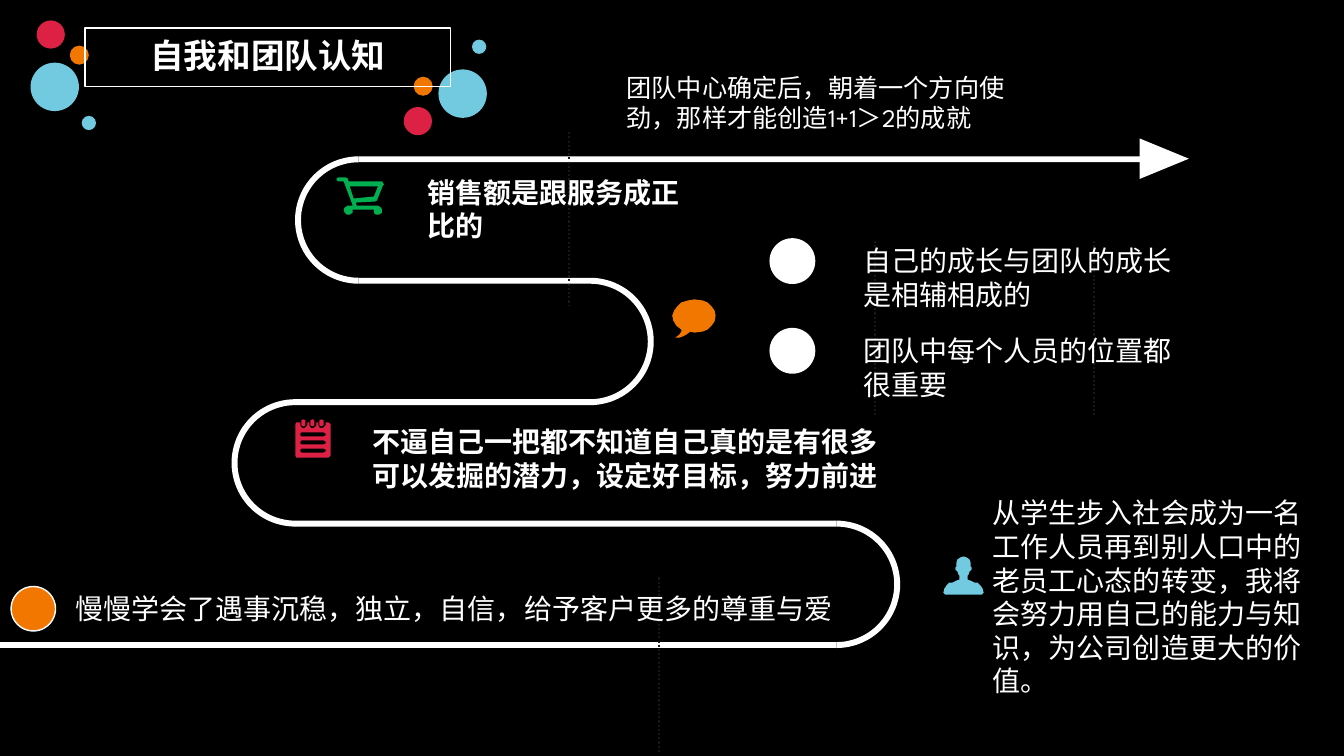
from math import cos, sin, pi, radians

from lxml.etree import SubElement as Sub
from pptx import Presentation
from pptx.dml.color import RGBColor as Rgb
from pptx.enum.dml import MSO_LINE as Dash
from pptx.enum.shapes import MSO_CONNECTOR as Link, MSO_SHAPE as Form
from pptx.enum.text import MSO_ANCHOR as Anchor, MSO_AUTO_SIZE as Fit, PP_ALIGN as Align
from pptx.oxml.ns import qn
from pptx.util import Cm, Pt

WHITE, RED, ORANGE = "FFFFFF", "DC2144", "F17700"
BLUE, GREEN, DARK = "71CAE0", "00B050", "181715"


def tint(code):
    return Rgb.from_string(code)


class Board:
    """Holds the style and the current slide."""
    font, head = "League Spartan", "Noto Sans CJK SC"
    grain = Cm(2.54) / 100  # one icon unit
    fine = 1000  # outline units per centimetre

    def __init__(self, deck):
        self.slide = deck.slides.add_slide(deck.slide_layouts[5])
        self.shapes = self.slide.shapes
        back = self.slide.background.fill
        back.solid()
        back.fore_color.rgb = tint("000000")

    def paint(self, shape, fill, line=None):
        shape.shadow.inherit = False
        shape.fill.solid()
        shape.fill.fore_color.rgb = tint(fill)
        if line:
            shape.line.color.rgb = tint(line)
            shape.line.width = Pt(1)
        else:
            shape.line.fill.background()
        return shape

    def solid(self, form, x, y, w, h, fill, line=None):
        shape = self.shapes.add_shape(form, Cm(x), Cm(y), Cm(w), Cm(h))
        return self.paint(shape, fill, line)

    def disc(self, x, y, size, fill, line=None):
        """Circle around a centre."""
        self.solid(Form.OVAL, x - size / 2, y - size / 2, size, size, fill, line)

    def shade(self, loops, fill, scale):
        """Closed outlines in one shape; inner ones become holes."""
        pen = self.shapes.build_freeform(*loops[0][0], scale=scale)
        pen.add_line_segments(loops[0][1:])
        for loop in loops[1:]:
            pen.move_to(*loop[0])
            pen.add_line_segments(loop[1:])
        self.paint(pen.convert_to_shape(), fill)

    def icon(self, loops, fill):
        self.shade(loops, fill, self.grain)

    def turn(self, x, y, outer, inner, side):
        """Half ring that bulges to one side (1 right, -1 left)."""
        steps = [pi * i / 48 - pi / 2 for i in range(49)]
        ring = [(outer, a) for a in steps] + [(inner, a) for a in steps[::-1]]
        # Outline points are whole numbers, so they need a fine unit
        arc = [(round((x + side * r * cos(a)) * self.fine),
                round((y + r * sin(a)) * self.fine)) for r, a in ring]
        self.shade([arc], WHITE, Cm(1) / self.fine)

    def dots(self, x, top, end):
        line = self.shapes.add_connector(Link.STRAIGHT, Cm(x), Cm(top), Cm(x), Cm(end))
        line.line.color.rgb = tint(DARK)
        line.line.width = Pt(1.5)
        line.line.dash_style = Dash.ROUND_DOT
        Sub(line._element.spPr, qn("a:effectLst"))

    def style(self, part, name, size, bold):
        for run in part.runs:
            run.font.name, run.font.size, run.font.bold = name, Pt(size), bold
            run.font.color.rgb = tint(WHITE)

    def text(self, words, x, y, w, h, size=20, bold=False):
        frame = self.shapes.add_textbox(Cm(x), Cm(y), Cm(w), Cm(h)).text_frame
        frame.word_wrap = True
        frame.auto_size = Fit.SHAPE_TO_FIT_TEXT
        frame.text = words
        self.style(frame.paragraphs[0], self.font, size, bold)

    def title(self, words, x, y, w, h):
        box = self.shapes.title
        box.left, box.top, box.width, box.height = Cm(x), Cm(y), Cm(w), Cm(h)
        box.line.color.rgb = tint(WHITE)
        box.line.width = Pt(1)
        frame = box.text_frame
        frame.text = words
        frame.auto_size = Fit.NONE
        frame.vertical_anchor = Anchor.MIDDLE
        part = frame.paragraphs[0]
        part.alignment, part.line_spacing = Align.CENTER, 0.9
        self.style(part, self.head, 24, True)
        self.shapes._spTree.append(box._element)  # bring to front


def draw_head(board):
    # The same four discs, turned around the large one
    discs = [(0.62, -0.8, 0.48, ORANGE), (-0.1, -1.32, 0.71, RED),
             (0.86, 0.91, 0.36, BLUE), (0, 0, 1.22, BLUE)]
    for x, y, angle in [(1.38, 2.19, 0), (11.66, 2.36, radians(-117.2))]:
        c, s = cos(angle), sin(angle)
        for dx, dy, size, fill in discs:
            board.disc(x + dx * c - dy * s, y + dx * s + dy * c, size, fill)
    board.title("自我和团队认知", 2.14, 0.71, 9.22, 1.47)


def draw_road(board):
    top, pitch, thick = 3.94, 3.06, 0.15
    ends = [28.88, 9.04, 14.87, 7.44, 21.08, 0]
    outer = (pitch + thick) / 2
    for row, (a, b) in enumerate(zip(ends, ends[1:])):
        y = top + row * pitch
        board.solid(Form.RECTANGLE, min(a, b), y, abs(a - b), thick, WHITE)
        if row < 4:
            board.turn(b, y + outer, outer, outer - thick, 1 if row % 2 else -1)
    tip = board.solid(Form.ISOSCELES_TRIANGLE, 28.83, 3.38, 1.02, 1.24, WHITE)
    tip.rotation = 90


def draw_icons(board):
    # Cart
    board.icon([
        [(347, 185), (351, 197), (371, 195), (375, 185)],
        [(336, 176), (343, 176), (345, 177), (346, 180), (379, 180), (381, 183),
         (380, 184), (374, 199), (372, 200), (353, 201), (354, 204), (375, 204),
         (378, 206), (379, 208), (379, 211), (376, 213), (373, 213), (371, 211),
         (371, 208), (350, 208), (350, 211), (347, 213), (344, 213), (342, 211),
         (341, 208), (342, 206), (345, 204), (350, 204), (341, 180), (336, 180),
         (334, 179), (334, 177)]], GREEN)
    # Speech bubble
    board.icon([[
        (689, 297), (697, 298), (702, 300), (706, 304), (709, 308), (710, 313),
        (709, 319), (706, 323), (702, 327), (697, 329), (689, 330), (685, 329),
        (681, 332), (677, 334), (674, 335), (670, 335), (674, 332), (676, 329),
        (676, 327), (671, 323), (668, 318), (667, 313), (669, 308), (672, 304),
        (676, 300), (683, 298)]], ORANGE)
    # Notepad: sheet with notches, ruled lines, rings
    notch = [(-3, 419), (-3, 422), (-2, 424), (0, 425), (2, 424), (4, 422), (4, 419)]
    ring = [(0, 416), (2, 417), (2, 422), (0, 423), (-2, 422), (-2, 417)]
    rule = [(299, 0), (298, 1), (298, 3), (299, 4), (321, 4), (323, 3), (323, 1), (321, 0)]
    holes = (301, 310, 319)
    sheet = [(294, 419)] + [(x + dx, y) for x in holes for dx, y in notch]
    sheet += [(326, 419), (328, 421), (328, 452), (326, 454), (294, 454),
              (293, 452), (293, 421)]
    lines = [[(x, y + dy) for x, dy in rule] for y in (429, 437, 445)]
    rings = [[(x + dx, y) for dx, y in ring] for x in holes]
    board.icon([sheet] + lines + rings, RED)
    # Person: right half, mirrored
    half = [(0, 552), (3, 553), (6, 555), (7, 558), (7, 562), (8, 563), (8, 565),
            (6, 567), (5, 570), (4, 571), (4, 575), (7, 576), (11, 578), (14, 578),
            (17, 581), (19, 584), (20, 588), (18, 590)]
    board.icon([[(956 + x, y) for x, y in half]
                + [(956 - x, y) for x, y in half[:0:-1]]], BLUE)


def main():
    deck = Presentation()
    deck.slide_width, deck.slide_height = Cm(33.87), Cm(19.05)
    board = Board(deck)
    draw_head(board)
    draw_road(board)
    draw_icons(board)

    # Faint dotted guides
    for x, top, end in [(14.33, 3.33, 7.72), (22.05, 6.07, 10.49),
                        (27.56, 6.07, 10.49), (16.61, 14.55, 18.95)]:
        board.dots(x, top, end)

    # Markers
    for x, y, fill in [(19.97, 6.58, WHITE), (19.97, 8.84, WHITE), (0.84, 15.34, ORANGE)]:
        board.disc(x, y, 1.12, fill, WHITE)

    # Texts along the road
    board.text("团队中心确定后，朝着一个方向使劲，那样才能创造1+1＞2的成就",
               15.54, 1.7, 10.08, 1.8, size=18)
    board.text("销售额是跟服务成正比的", 10.52, 4.29, 7.49, 1.96, bold=True)
    board.text("自己的成长与团队的成长是相辅相成的", 21.51, 6.02, 8.46, 1.96)
    board.text("团队中每个人员的位置都很重要", 21.51, 8.28, 8.46, 1.96)
    board.text("不逼自己一把都不知道自己真的是有很多可以发掘的潜力，设定好目标，努力前进",
               9.14, 10.57, 13.31, 1.96, bold=True)
    board.text("慢慢学会了遇事沉稳，独立，自信，给予客户更多的尊重与爱",
               1.65, 14.78, 20.4, 1.96)
    board.text("从学生步入社会成为一名工作人员再到别人口中的老员工心态的转变，"
               "我将会努力用自己的能力与知识，为公司创造更大的价值。",
               24.77, 12.37, 8.46, 7.09)
    deck.save("out.pptx")


if __name__ == "__main__":
    main()
